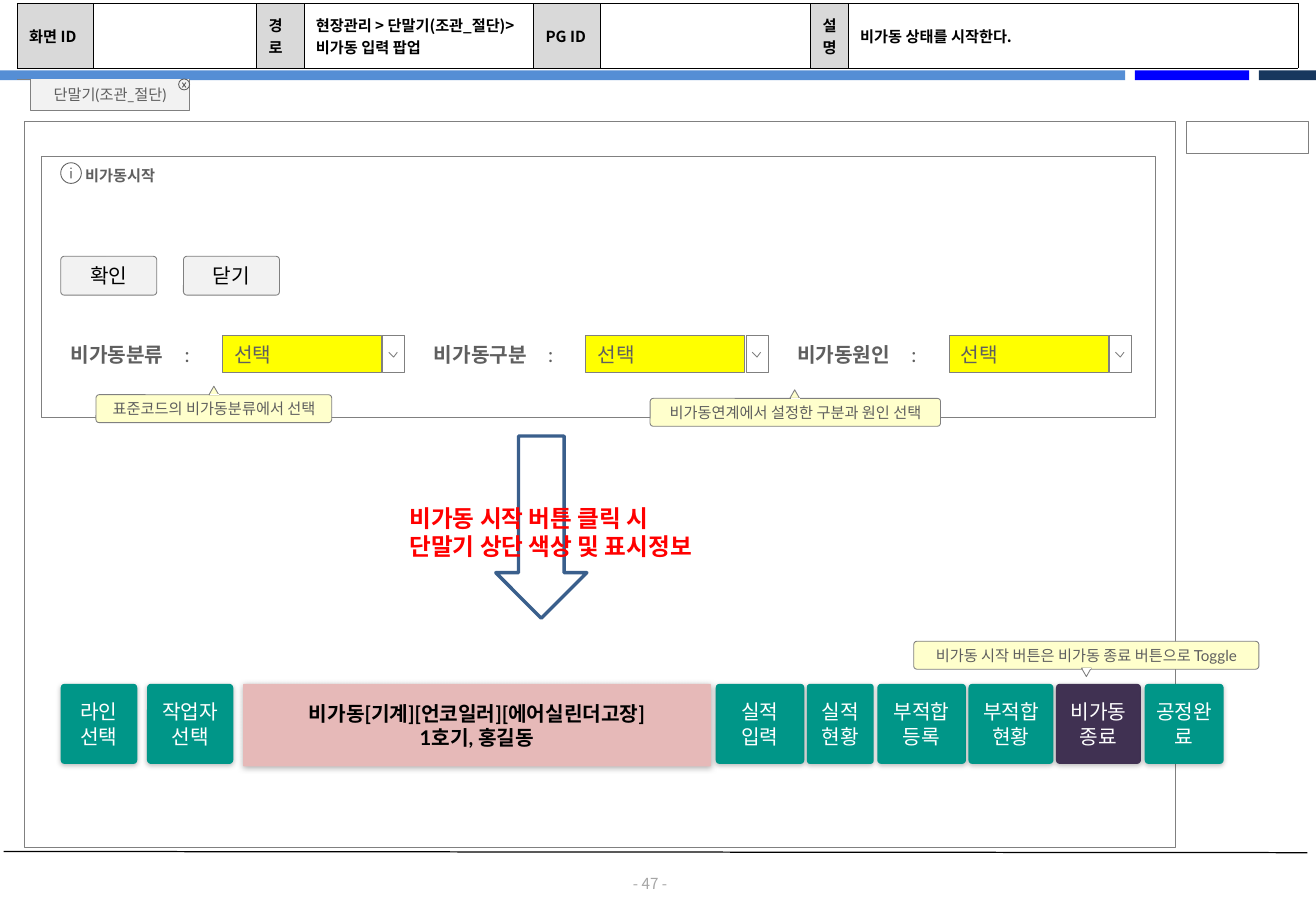
from dataclasses import dataclass

from lxml import etree
from pptx import Presentation
from pptx.dml.color import RGBColor
from pptx.enum.shapes import MSO_CONNECTOR, MSO_SHAPE
from pptx.enum.text import MSO_ANCHOR, PP_ALIGN
from pptx.oxml.ns import qn
from pptx.util import Inches, Pt

RECTANGLE = MSO_SHAPE.RECTANGLE
ROUNDED = MSO_SHAPE.ROUNDED_RECTANGLE
TRIANGLE = MSO_SHAPE.ISOSCELES_TRIANGLE
OVAL = MSO_SHAPE.OVAL
DOWN_ARROW = MSO_SHAPE.DOWN_ARROW
STRAIGHT = MSO_CONNECTOR.STRAIGHT
LEFT, CENTER = PP_ALIGN.LEFT, PP_ALIGN.CENTER
TOP, MIDDLE = MSO_ANCHOR.TOP, MSO_ANCHOR.MIDDLE


@dataclass(frozen=True)
class Theme:
    black: str = "000000"
    white: str = "FFFFFF"
    border: str = "808080"
    text: str = "5F5F5F"
    page_number: str = "A6A6A6"
    header: str = "D9D9D9"
    button: str = "F2F2F2"
    required: str = "FFFF00"
    note: str = "FFFFCC"
    action: str = "009688"
    stop: str = "403152"
    status: str = "E6B9B8"
    arrow: str = "3A5F8C"
    emphasis: str = "FF0000"
    bands: tuple = ("558ED5", "0000FF", "17375E")
    body_font: str = "Lato"
    button_font: str = "Arial"
    korean_font: str = "Noto Sans CJK KR"
    small: int = 9
    medium: int = 12
    large: int = 14
    thin: float = 0.5


class ScreenSlide:
    def __init__(self, slide, theme):
        self.slide = slide
        self.theme = theme

    def paint(self, shape, fill=None, line=None, width=None):
        shape.shadow.inherit = False
        if fill:
            shape.fill.solid()
            shape.fill.fore_color.rgb = RGBColor.from_string(fill)
        else:
            shape.fill.background()
        if line:
            shape.line.color.rgb = RGBColor.from_string(line)
            shape.line.width = Pt(width or self.theme.thin)
        else:
            shape.line.fill.background()
        return shape

    def shape(self, kind, left, top, width, height, fill=None, line=None, line_width=None, radius=None):
        shape = self.slide.shapes.add_shape(kind, Inches(left), Inches(top), Inches(width), Inches(height))
        if radius is not None:
            shape.adjustments[0] = radius
        return self.paint(shape, fill, line, line_width)

    def outline(self, points, fill):
        start, *others = [(Inches(x), Inches(y)) for x, y in points]
        builder = self.slide.shapes.build_freeform(*start)
        builder.add_line_segments(others, close=False)
        return self.paint(builder.convert_to_shape(), fill, self.theme.border)

    def line(self, x1, y1, x2, y2, color, width=None):
        connector = self.slide.shapes.add_connector(STRAIGHT, Inches(x1), Inches(y1), Inches(x2), Inches(y2))
        connector.line.color.rgb = RGBColor.from_string(color)
        connector.line.width = Pt(width or self.theme.thin)
        etree.SubElement(connector._element.spPr, qn("a:effectLst"))

    def text_box(self, left, top, width, height):
        return self.slide.shapes.add_textbox(Inches(left), Inches(top), Inches(width), Inches(height))

    def add_run(self, paragraph, text, size, color, font=None, bold=False):
        run = paragraph.add_run()
        run.text = text
        run.font.name = font or self.theme.body_font
        run.font.size = Pt(size)
        run.font.bold = bold
        run.font.color.rgb = RGBColor.from_string(color)
        east_asian = etree.SubElement(run._r.get_or_add_rPr(), qn("a:ea"))
        east_asian.set("typeface", self.theme.korean_font)

    def set_text(self, shape, lines, size, color, font=None, bold=False, align=CENTER,
                 anchor=MIDDLE, insets=(0.1, 0.05), wrap=True):
        frame = shape.text_frame
        frame.word_wrap = wrap
        frame.vertical_anchor = anchor
        frame.margin_left = frame.margin_right = Inches(insets[0])
        frame.margin_top = frame.margin_bottom = Inches(insets[1])
        for index, line in enumerate(lines):
            paragraph = frame.add_paragraph() if index else frame.paragraphs[0]
            paragraph.alignment = align
            self.add_run(paragraph, line, size, color, font, bold)

    def cast_shadow(self, shape, opacity, blur):
        effects = shape._element.spPr.find(qn("a:effectLst"))
        shadow = etree.SubElement(effects, qn("a:outerShdw"), blurRad=str(Pt(blur)), dist=str(Pt(1)),
                                  dir="5400000", algn="t", rotWithShape="0")
        color = etree.SubElement(shadow, qn("a:srgbClr"), val=self.theme.black)
        etree.SubElement(color, qn("a:alpha"), val=str(opacity * 1000))

    def header_table(self, left, top, height, columns):
        total = sum(width for width, _, _ in columns)
        table = self.slide.shapes.add_table(1, len(columns), Inches(left), Inches(top),
                                            Inches(total), Inches(height)).table
        table.first_row = table.horz_banding = False
        for index, (width, text, fill) in enumerate(columns):
            table.columns[index].width = Inches(width)
            cell = table.cell(0, index)
            cell.vertical_anchor = MIDDLE
            cell.fill.solid()
            cell.fill.fore_color.rgb = RGBColor.from_string(fill)
            if text:
                self.add_run(cell.text_frame.paragraphs[0], text, self.theme.small, self.theme.black,
                             self.theme.korean_font, True)
            self.cell_borders(cell)

    def cell_borders(self, cell):
        properties = cell._tc.get_or_add_tcPr()
        for position, side in enumerate(("lnL", "lnR", "lnT", "lnB")):
            border = etree.Element(qn(f"a:{side}"), w=str(Pt(0.25)))
            fill = etree.SubElement(border, qn("a:solidFill"))
            etree.SubElement(fill, qn("a:srgbClr"), val=self.theme.black)
            properties.insert(position, border)

    def drop_down(self, left, label):
        """Draw a label with its colon and the select field to the right of it."""
        theme, top, height = self.theme, 2.76, 0.31
        field = self.shape(RECTANGLE, left, top, 1.31, height, theme.required, theme.border)
        self.set_text(field, ["선택"], theme.medium, theme.text, align=LEFT, insets=(0.1, 0.06))
        self.shape(RECTANGLE, left + 1.32, top, 0.18, height, theme.white, theme.border)
        self.outline([(left + 1.44, 2.9), (left + 1.41, 2.94), (left + 1.37, 2.9)], theme.white)

        caption = self.text_box(left - 1.37, top, 1.28, height)
        paragraph = caption.text_frame.paragraphs[0]
        stops = etree.SubElement(paragraph._p.get_or_add_pPr(), qn("a:tabLst"))
        etree.SubElement(stops, qn("a:tab"), pos=str(Inches(0.94)), algn="l")
        self.set_text(caption, [label], theme.medium, theme.text, bold=True, align=LEFT, insets=(0.12, 0.06))
        self.add_run(paragraph, "\t:", theme.medium, theme.text)

    def callout(self, left, top, width, text, tip, points_down=False):
        theme = self.theme
        note = self.shape(ROUNDED, left, top, width, 0.23, theme.note, theme.border, radius=0.114)
        self.set_text(note, [text], theme.small, theme.text, insets=(0.05, 0.03), wrap=False)
        base = top + 0.22 if points_down else top
        pointer = self.shape(TRIANGLE, tip - 0.04, base if points_down else base - 0.07, 0.08, 0.07,
                             theme.white if points_down else theme.note, theme.border)
        pointer.rotation = 180 if points_down else 0
        self.line(tip - 0.03, base, tip + 0.04, base, theme.white)

    def push_button(self, left, text):
        button = self.shape(ROUNDED, left, 2.11, 0.79, 0.32, self.theme.button, self.theme.border, radius=0.088)
        self.set_text(button, [text], self.theme.medium, self.theme.black, self.theme.button_font)

    def action_button(self, left, width, lines, fill):
        button = self.shape(ROUNDED, left, 5.63, width, 0.66, fill, radius=0.05)
        self.cast_shadow(button, 25, 3)
        self.set_text(button, lines, self.theme.medium, self.theme.white, insets=(0.08, 0.05))


def main():
    presentation = Presentation()
    presentation.slide_width, presentation.slide_height = Inches(10.83), Inches(7.5)
    theme = Theme()
    screen = ScreenSlide(presentation.slides.add_slide(presentation.slide_layouts[6]), theme)

    # Page frame and header
    for (left, width), color in zip(((0, 9.26), (9.34, 0.94), (10.36, 0.47)), theme.bands):
        screen.shape(RECTANGLE, left, 0.58, width, 0.08, color)
    screen.line(0.03, 7.01, 10.76, 7.02, theme.black, 0.75)
    screen.set_text(screen.text_box(5.05, 7.2, 0.6, 0.15), ["- 47 -"], theme.small, theme.page_number,
                    theme.korean_font, insets=(0, 0))
    screen.shape(RECTANGLE, 0.2, 1, 9.47, 5.98, line=theme.border)
    screen.header_table(0.14, 0.03, 0.53, [
        (0.63, "화면 ID", theme.header), (1.34, "", theme.white),
        (0.39, "경로", theme.header), (1.89, "현장관리 > 단말기(조관_절단)>비가동 입력 팝업", theme.white),
        (0.55, "PG ID", theme.header), (1.73, "", theme.white),
        (0.31, "설명", theme.header), (3.7, "비가동 상태를 시작한다.", theme.white)])

    # Screen tab with its close icon
    screen.line(0.25, 0.65, 0.14, 0.65, theme.border)
    tab = screen.outline([(1.56, 0.65), (1.56, 0.91), (0.25, 0.91), (0.25, 0.65)], theme.button)
    screen.set_text(tab, ["단말기(조관_절단)"], theme.small, theme.text, insets=(0.05, 0.05))
    screen.shape(OVAL, 1.47, 0.65, 0.09, 0.09, line=theme.text)
    for start, end in ((0.68, 0.72), (0.72, 0.68)):
        screen.line(1.5, start, 1.53, end, theme.text)
    screen.shape(RECTANGLE, 9.76, 1, 1.01, 0.26, theme.white, theme.border)

    # Input panel
    for index, label in enumerate(("비가동분류", "비가동구분", "비가동원인")):
        screen.drop_down(1.83 + index * 2.99, label)
    screen.shape(RECTANGLE, 0.34, 1.29, 9.17, 2.15, line=theme.border)
    for left, text in ((0.5, "확인"), (1.51, "닫기")):
        screen.push_button(left, text)
    title = screen.shape(RECTANGLE, 0.62, 1.33, 0.79, 0.23, theme.white)
    screen.set_text(title, ["비가동시작"], theme.small, theme.text, bold=True, align=LEFT,
                    anchor=TOP, insets=(0.08, 0.04), wrap=False)
    screen.shape(OVAL, 0.5, 1.34, 0.17, 0.17, line=theme.text)
    for top, height in ((1.38, 0.01), (1.41, 0.06)):
        screen.shape(RECTANGLE, 0.58, top, 0.01, height, theme.text)
    screen.callout(0.79, 3.25, 1.94, "표준코드의 비가동분류에서 선택", 1.76)
    screen.callout(5.35, 3.28, 2.39, "비가동연계에서 설정한 구분과 원인 선택", 6.54)

    # Terminal bar
    for left, width, *lines in (
            (0.5, 0.63, "라인선택"), (1.21, 0.71, "작업자선택"), (5.89, 0.73, "실적", "입력"),
            (6.64, 0.55, "실적", "현황"), (7.22, 0.73, "부적합", "등록"), (7.97, 0.7, "부적합", "현황"),
            (8.69, 0.7, "비가동종료"), (9.42, 0.65, "공정완료")):
        screen.action_button(left, width, lines, theme.stop if lines == ["비가동종료"] else theme.action)
    status = screen.shape(ROUNDED, 2, 5.63, 3.85, 0.68, theme.status, radius=0.014)
    screen.cast_shadow(status, 30, 4)
    screen.set_text(status, ["비가동[기계][언코일러][에어실린더고장]", "1호기, 홍길동"],
                    theme.medium, theme.black, bold=True)

    # Transition
    screen.shape(DOWN_ARROW, 4.08, 3.59, 0.75, 1.5, theme.white, theme.arrow, 2)
    screen.set_text(screen.text_box(3.27, 4.1, 2.99, 0.57),
                    ["비가동 시작 버튼 클릭 시", "단말기 상단 색상 및 표시정보"],
                    theme.large, theme.emphasis, theme.button_font, True, LEFT, TOP)
    screen.callout(7.52, 5.28, 2.84, "비가동 시작 버튼은 비가동 종료 버튼으로 Toggle", 8.94, points_down=True)

    presentation.save("out.pptx")


if __name__ == "__main__":
    main()
